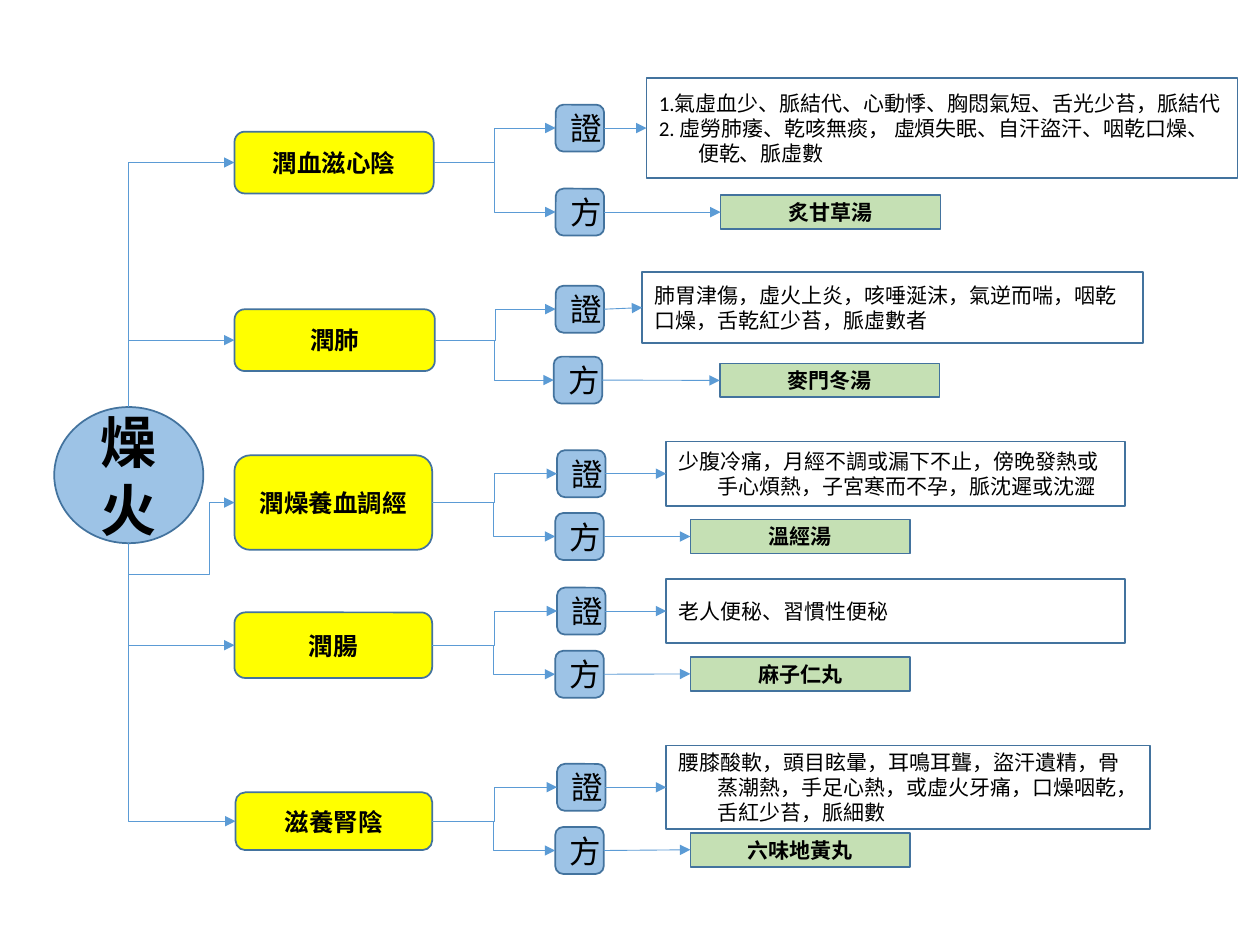
from dataclasses import dataclass

from lxml import etree
from pptx import Presentation
from pptx import util as u
from pptx.dml.color import RGBColor
from pptx.enum import shapes, text
from pptx.oxml.ns import qn

KIND = shapes.MSO_SHAPE
LINK = shapes.MSO_CONNECTOR
TOP, LEFT, BOTTOM, RIGHT = range(4)
ELLIPSE_BOTTOM = 4


@dataclass(frozen=True)
class Theme:
    blue: str = "9DC3E6"
    yellow: str = "FFFF00"
    green: str = "C5E0B4"
    white: str = "FFFFFF"
    ink: str = "000000"
    outline: str = "43739E"
    arrow: str = "5B9BD5"
    latin: str = "Calibri"
    chinese: str = "Noto Sans CJK SC"
    root_size: int = 32
    sign_size: int = 18
    branch_size: int = 14
    body_size: int = 12
    outline_width: float = 1
    arrow_width: float = 0.5
    hanging: float = 22.4


class Diagram:
    def __init__(self, slide, theme):
        self.slide = slide
        self.theme = theme

    def box(self, kind, left, middle, width, height, fill, lines, size,
            bold=False, font=None, hanging=False):
        theme = self.theme
        box = self.slide.shapes.add_shape(
            kind, u.Pt(left), u.Pt(middle - height / 2), u.Pt(width), u.Pt(height))
        box.shadow.inherit = False
        box.fill.solid()
        box.fill.fore_color.rgb = RGBColor.from_string(fill)
        box.line.color.rgb = RGBColor.from_string(theme.outline)
        box.line.width = u.Pt(theme.outline_width)
        frame = box.text_frame
        frame.word_wrap = True
        frame.vertical_anchor = text.MSO_ANCHOR.MIDDLE
        values = {"name": font or theme.latin, "size": u.Pt(size), "bold": bold}
        for index, line in enumerate(lines):
            para = frame.add_paragraph() if index else frame.paragraphs[0]
            para.alignment = text.PP_ALIGN.LEFT if hanging else text.PP_ALIGN.CENTER
            if hanging:
                indent = u.Pt(theme.hanging)
                para._p.get_or_add_pPr().set("marL", str(indent))
                para._p.get_or_add_pPr().set("indent", str(-indent))
            span = para.add_run()
            span.text = line
            for name, value in values.items():
                setattr(span.font, name, value)
            span.font.color.rgb = RGBColor.from_string(theme.ink)
        return box

    def root(self, left, middle, width, height, label):
        return self.box(KIND.OVAL, left, middle, width, height, self.theme.blue,
                        [label], self.theme.root_size, True, self.theme.chinese)

    def branch(self, left, middle, width, height, label):
        return self.box(KIND.ROUNDED_RECTANGLE, left, middle, width, height,
                        self.theme.yellow, [label], self.theme.branch_size, True)

    def sign(self, left, middle, label):
        return self.box(KIND.ROUNDED_RECTANGLE, left, middle, 27.7, 26.8,
                        self.theme.blue, [label], self.theme.sign_size)

    def symptoms(self, left, middle, width, height, lines):
        return self.box(KIND.RECTANGLE, left, middle, width, height,
                        self.theme.white, lines, self.theme.body_size, hanging=True)

    def remedy(self, left, middle, label):
        return self.box(KIND.RECTANGLE, left, middle, 125.6, 19.4, self.theme.green,
                        [label], self.theme.body_size, True, self.theme.chinese)

    def arrow(self, kind, start, start_side, finish, finish_side, point="tailEnd"):
        link = self.slide.shapes.add_connector(kind, 0, 0, 0, 0)
        link.begin_connect(start, start_side)
        link.end_connect(finish, finish_side)
        link.line.color.rgb = RGBColor.from_string(self.theme.arrow)
        link.line.width = u.Pt(self.theme.arrow_width)
        etree.SubElement(link.line._get_or_add_ln(), qn(f"a:{point}"), type="triangle")
        etree.SubElement(link._element.spPr, qn("a:effectLst"))
        return link

    def root_arrow(self, branch, root, side, preset="bentConnector2", bends=()):
        link = self.arrow(LINK.ELBOW, branch, LEFT, root, side, "headEnd")
        if side == BOTTOM:
            joint = link._element.nvCxnSpPr.cNvCxnSpPr.find(qn("a:endCxn"))
            joint.set("idx", str(ELLIPSE_BOTTOM))
        geometry = link._element.spPr.find(qn("a:prstGeom"))
        geometry.set("prst", preset)
        guides = geometry.find(qn("a:avLst"))
        if guides is None:
            guides = etree.SubElement(geometry, qn("a:avLst"))
        for number, bend in enumerate(bends, 1):
            etree.SubElement(guides, qn("a:gd"), name=f"adj{number}",
                             fmla=f"val {round(bend * 100000)}")


BRANCHES = [
    dict(branch=(134, 92.9, 113.8, 35.3, "潤血滋心陰"),
         proof=(317.5, 73.2), formula=(317.5, 121.2),
         symptoms=(369.4, 73.2, 337.7, 57,
                   ["1.氣虛血少、脈結代、心動悸、胸悶氣短、舌光少苔，脈結代",
                    "2. 虛勞肺痿、乾咳無痰， 虛煩失眠、自汗盜汗、咽乾口燥、便乾、脈虛數"]),
         remedy=(411.8, 121.2, "炙甘草湯"), route=dict(side=TOP)),
    dict(branch=(134, 194.4, 114.5, 35.3, "潤肺"),
         proof=(317.5, 176.7), formula=(316.4, 217.2),
         symptoms=(367, 175.8, 286, 40.5,
                   ["肺胃津傷，虛火上炎，咳唾涎沫，氣逆而喘，咽乾",
                    "口燥，舌乾紅少苔，脈虛數者"]),
         remedy=(411.3, 217.4, "麥門冬湯"), route=dict(side=TOP)),
    dict(branch=(134, 287.2, 113, 54, "潤燥養血調經"),
         proof=(318.3, 270.7), formula=(317.3, 306.6),
         symptoms=(380.7, 270.7, 262.3, 36.7,
                   ["少腹冷痛，月經不調或漏下不止，傍晚發熱或手心煩熱，子宮寒而不孕，脈沈遲或沈澀"]),
         remedy=(394.5, 306.6, "溫經湯"),
         route=dict(side=BOTTOM, preset="bentConnector4", bends=(0.24, 1.78))),
    dict(branch=(134, 368.7, 113, 37.5, "潤腸"),
         proof=(318.3, 349.2), formula=(317.3, 385.3),
         symptoms=(380.7, 349.2, 262.3, 36.7, ["老人便秘、習慣性便秘"]),
         remedy=(394.5, 385.1, "麻子仁丸"), route=dict(side=BOTTOM)),
    dict(branch=(134.6, 469.3, 112.4, 33, "滋養腎陰"),
         proof=(318.3, 449.9), formula=(317.3, 486),
         symptoms=(380.7, 449.9, 276.5, 47.8,
                   ["腰膝酸軟，頭目眩暈，耳鳴耳聾，盜汗遺精，骨蒸潮熱，手足心熱，或虛火牙痛，口燥咽乾，舌紅少苔，脈細數"]),
         remedy=(394.5, 485.6, "六味地黃丸"), route=dict(side=BOTTOM)),
]


def main():
    deck = Presentation()
    deck.slide_width, deck.slide_height = u.Pt(720), u.Pt(540)
    page = deck.slides.add_slide(deck.slide_layouts[6])
    diagram = Diagram(page, Theme())
    root = diagram.root(31, 271.5, 85.2, 77.8, "燥火")
    for row in BRANCHES:
        branch = diagram.branch(*row["branch"])
        diagram.root_arrow(branch, root, **row["route"])
        proof = diagram.sign(*row["proof"], "證")
        formula = diagram.sign(*row["formula"], "方")
        symptoms = diagram.symptoms(*row["symptoms"])
        remedy = diagram.remedy(*row["remedy"])
        for sign, result in ((proof, symptoms), (formula, remedy)):
            diagram.arrow(LINK.ELBOW, branch, RIGHT, sign, LEFT)
            diagram.arrow(LINK.STRAIGHT, sign, RIGHT, result, LEFT)
    deck.save("out.pptx")


if __name__ == "__main__":
    main()
